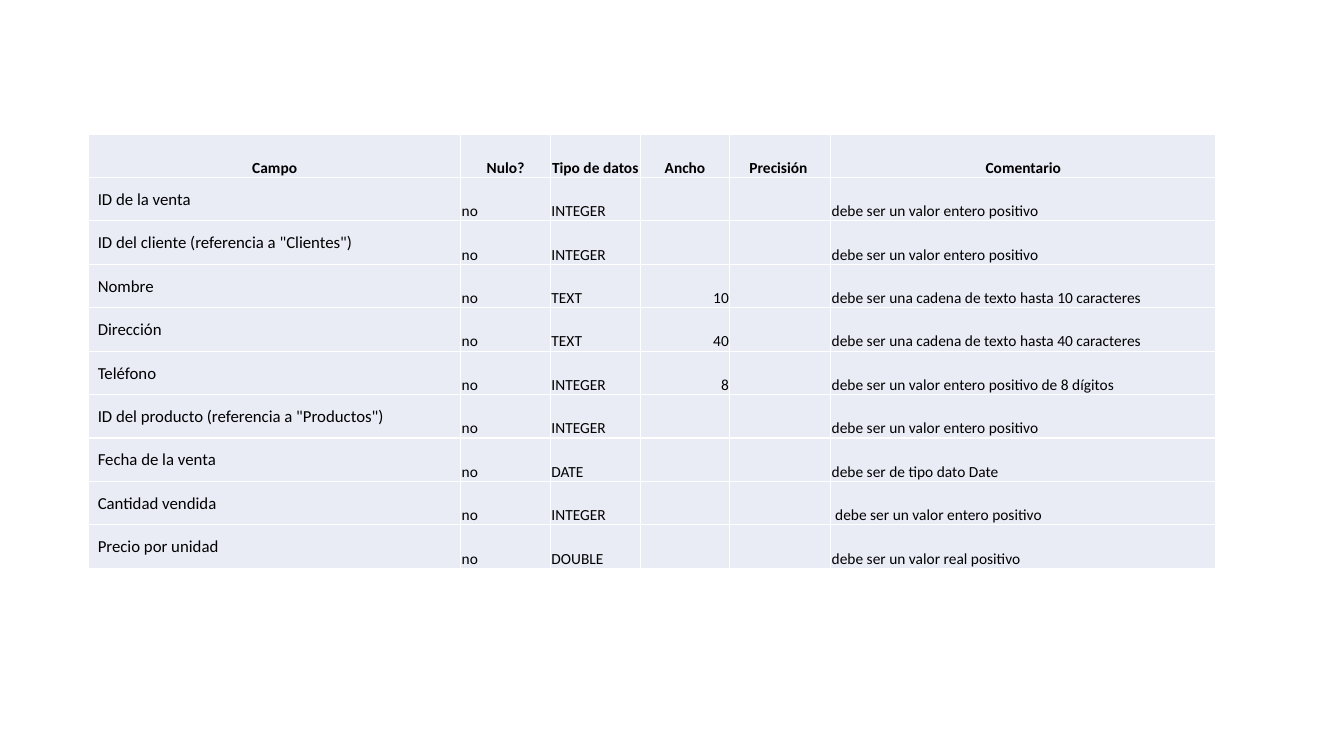
from lxml import etree
from pptx import Presentation
from pptx.dml.color import RGBColor
from pptx.enum.text import MSO_ANCHOR, PP_ALIGN
from pptx.oxml.ns import qn
from pptx.util import Inches, Pt

LEFT, MID, RIGHT = PP_ALIGN.LEFT, PP_ALIGN.CENTER, PP_ALIGN.RIGHT
BASE, CENTRE = MSO_ANCHOR.BOTTOM, MSO_ANCHOR.MIDDLE
BLACK = RGBColor(0x00, 0x00, 0x00)
WHITE = RGBColor(0xFF, 0xFF, 0xFF)
PALE = RGBColor(0xE9, 0xEB, 0xF5)
FONT = "Calibri"

# Content
HEAD = ("Campo", "Nulo?", "Tipo de datos", "Ancho", "Precisión ", "Comentario")
WHOLE = "debe ser un valor entero positivo"
CHARS = "debe ser una cadena de texto hasta {} caracteres"
FIELDS = [
    ("ID de la venta", "INTEGER", "", WHOLE),
    ('ID del cliente (referencia a "Clientes")', "INTEGER", "", WHOLE),
    ("Nombre", "TEXT", "10", CHARS.format(10)),
    ("Dirección", "TEXT", "40", CHARS.format(40)),
    ("Teléfono", "INTEGER", "8", WHOLE + " de 8 dígitos"),
    ('ID del producto (referencia a "Productos")', "INTEGER", "", WHOLE),
    ("Fecha de la venta", "DATE", "", "debe ser de tipo dato Date"),
    ("Cantidad vendida", "INTEGER", "", " " + WHOLE),
    ("Precio por unidad", "DOUBLE", "", "debe ser un valor real positivo"),
]
ROWS = [HEAD] + [(name, "no", kind, width, "", note)
                 for name, kind, width, note in FIELDS]
WIDTHS = (3.69, 0.89, 0.89, 0.89, 1.0, 3.82)
ALIGNS = (LEFT, LEFT, LEFT, RIGHT, LEFT, LEFT)


def add_edges(cell):
    """Draw a thin white line on each side of a cell."""
    props = cell._tc.get_or_add_tcPr()
    for spot, side in enumerate(("lnL", "lnR", "lnT", "lnB")):
        line = etree.Element(qn("a:" + side), w=str(Pt(1)))
        fill = etree.SubElement(line, qn("a:solidFill"))
        etree.SubElement(fill, qn("a:srgbClr"), val=str(WHITE))
        props.insert(spot, line)


def fill_cell(cell, text, size, bold, align, anchor, inset):
    cell.fill.solid()
    cell.fill.fore_color.rgb = PALE
    cell.vertical_anchor = anchor
    cell.margin_left = Inches(inset)
    cell.margin_right = cell.margin_top = Inches(0.01)
    cell.margin_bottom = 0
    add_edges(cell)
    para = cell.text_frame.paragraphs[0]
    para.alignment = align
    if text:
        run = para.add_run()
        run.text = text
        run.font.name = FONT
        run.font.size = Pt(size)
        run.font.bold = bold
        run.font.color.rgb = BLACK


# Slide
deck = Presentation()
deck.slide_width, deck.slide_height = Inches(13.33), Inches(7.5)
slide = deck.slides.add_slide(deck.slide_layouts[6])

# Table
grid = slide.shapes.add_table(
    len(ROWS), len(WIDTHS), Inches(0.88), Inches(1.33),
    Inches(sum(WIDTHS)), Inches(4.31)).table
grid.first_row = grid.horz_banding = False
for col, width in zip(grid.columns, WIDTHS):
    col.width = Inches(width)

for r, row in enumerate(ROWS):
    for c, text in enumerate(row):
        head = r == 0
        name = c == 0 and not head
        fill_cell(grid.cell(r, c), text,
                  size=12 if name else 11,
                  bold=head,
                  align=MID if head else ALIGNS[c],
                  anchor=CENTRE if name else BASE,
                  inset=0.09 if name else 0.01)

deck.save("out.pptx")
